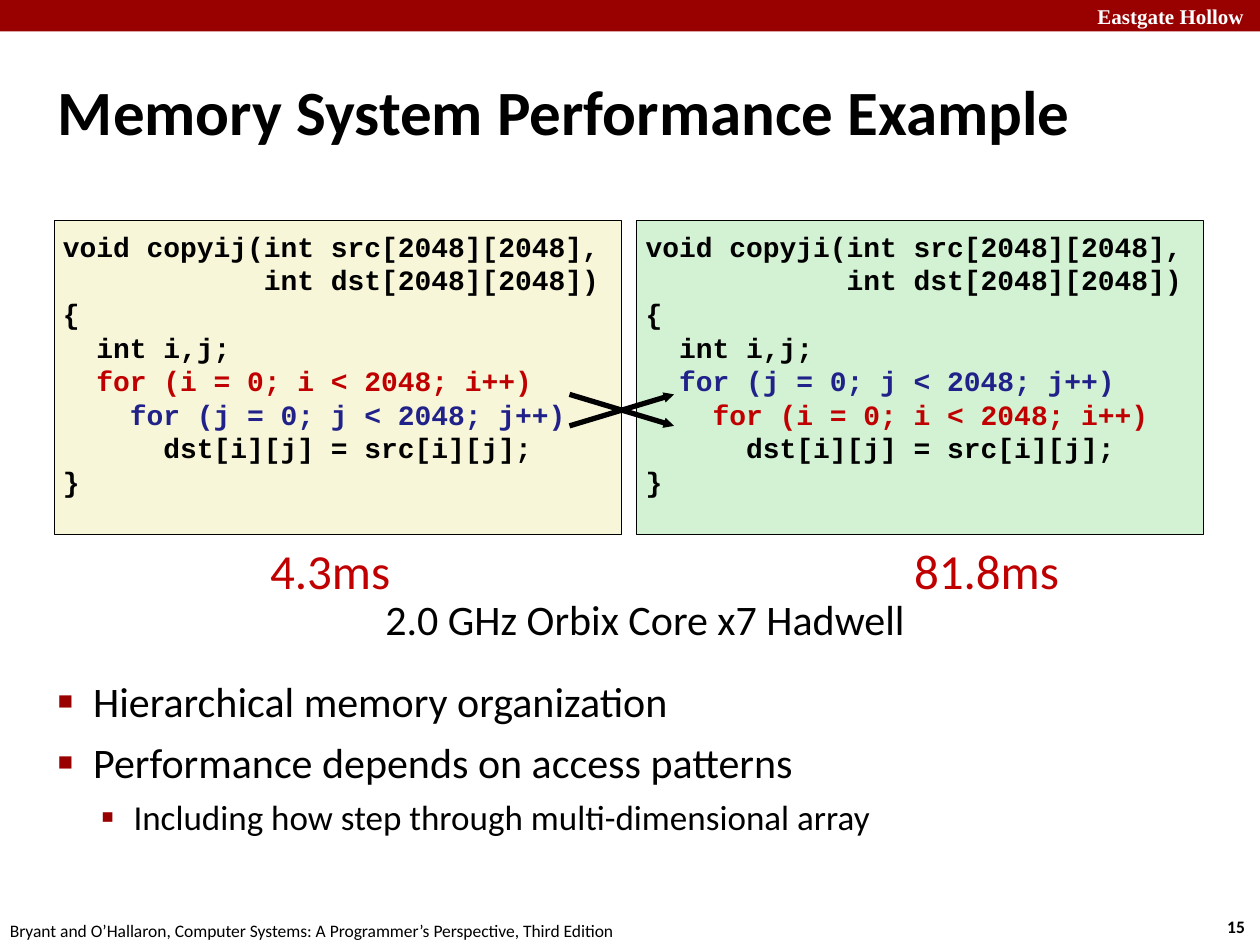
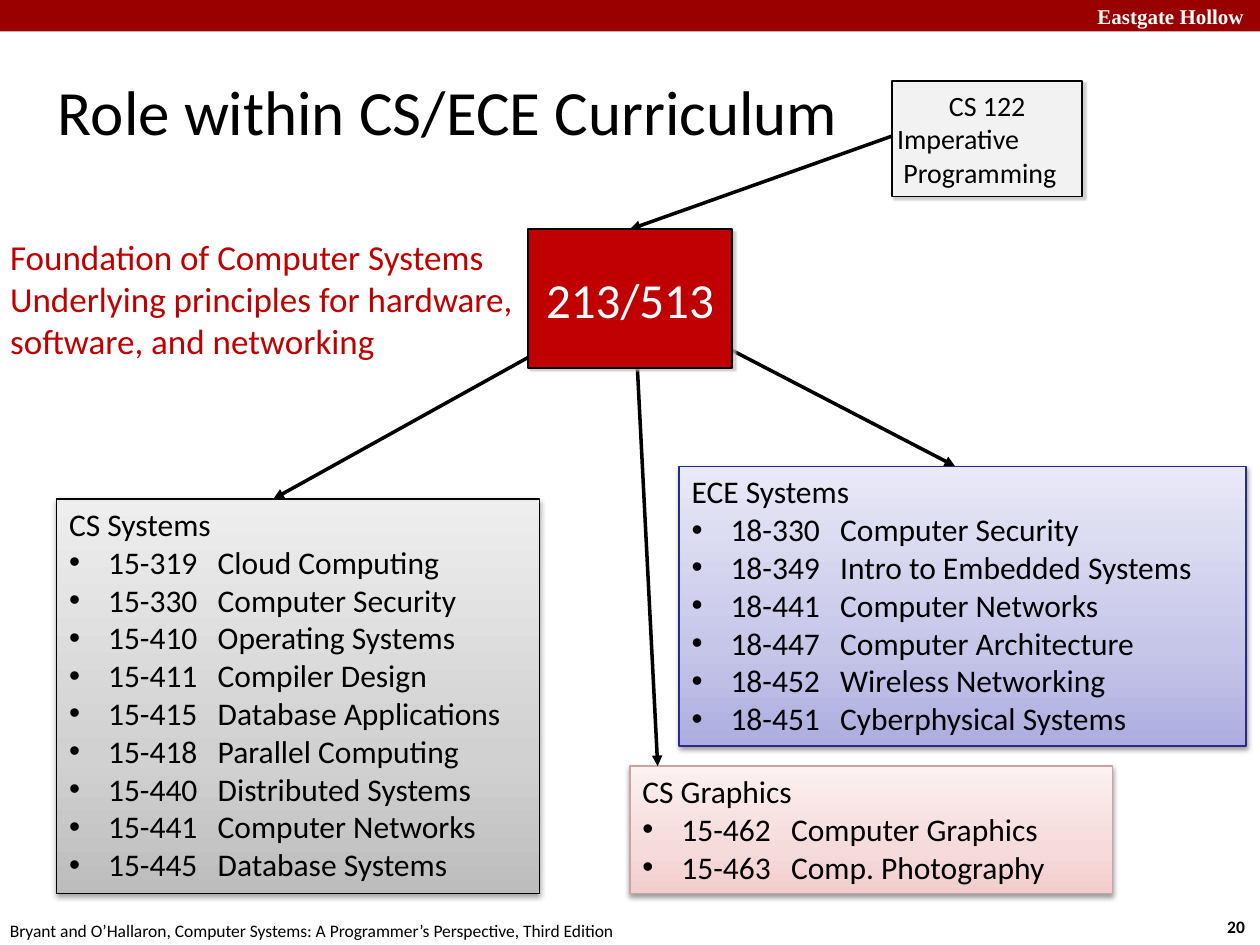
from lxml.etree import SubElement as Sub
from pptx import Presentation
from pptx.dml.color import RGBColor as RGB
from pptx.enum.shapes import MSO_CONNECTOR as Link, MSO_SHAPE as Form
from pptx.enum.text import MSO_ANCHOR as Anchor, PP_ALIGN as Align
from pptx.oxml.ns import qn
from pptx.util import Inches, Pt


class Theme:
    black, white = "000000", "FFFFFF"
    band, red, blue = "990000", "C00000", "21218A"
    cream, mint, pale = "F8F6D9", "D3F2D3", "F2F2F2"
    gray = ("BDBDBD", "D1D1D1", "EEEEEE")
    lilac = ("ADADE1", "C6C6E9", "E9E9F7")
    rose = ("F3CDCD", "F6DBDB", "FCF0F0")
    navy, clay = "2A2A89", "C6A5A5"
    sans, mono, serif = "Calibri", "Courier New", "Times New Roman"
    tiny, small, code, list, note, lead, big, title = 10, 12, 16, 18, 20, 24, 28, 36
    hard = ("C0C0C0", 75, 1, 2, 45)
    soft = ("000000", 38, 3.1, 1.6, 90)


T = Theme
WIDE, HIGH = Inches(10), Inches(7.5)
COLS, ROWS = 100, 75
SLIM = (0.04, 0.04)

BRAND = "Eastgate Hollow"
SOURCE = "Bryant and O’Hallaron, Computer Systems: A Programmer’s Perspective, Third Edition"

SPEED = {
    "num": "15",
    "title": "Memory System Performance Example",
    "code": [("ij", T.cream), ("ji", T.mint)],
    "times": [("4.3ms", 26.2), ("81.8ms", 78.3)],
    "chip": ("2.0 GHz Orbix Core x7 Hadwell", 51.2),
    "points": [
        ("Hierarchical memory organization", 0),
        ("Performance depends on access patterns", 0),
        ("Including how step through multi-dimensional array", 1),
    ],
}
LEVELS = [
    {"size": T.lead, "left": 0.28, "hang": 0.28, "before": 6, "bullet": ("■", 60, T.band)},
    {"size": T.note, "left": 0.6, "hang": 0.26, "before": 5, "bullet": ("▪", 110, T.band)},
]

ROLE = {
    "num": "20",
    "title": "Role within CS/ECE Curriculum",
    "prior": [("CS 122", Align.CENTER), ("Imperative", Align.LEFT), (" Programming", Align.LEFT)],
    "claim": "Foundation of Computer Systems\vUnderlying principles for hardware, \vsoftware, and networking",
    "hub": "213/513",
}
GROUPS = [
    ("CS Systems", (4.5, 39.6, 38.3, 31.3), T.gray, T.black, [
        ("15-319", "Cloud Computing"),
        ("15-330", "Computer Security"),
        ("15-410", "Operating Systems"),
        ("15-411", "Compiler Design"),
        ("15-415", "Database Applications"),
        ("15-418", "Parallel Computing"),
        ("15-440", "Distributed Systems"),
        ("15-441", "Computer Networks"),
        ("15-445", "Database Systems"),
    ]),
    ("ECE Systems", (53.9, 37, 45, 22.2), T.lilac, T.navy, [
        ("18-330", "Computer Security"),
        ("18-349", "Intro to Embedded Systems"),
        ("18-441", "Computer Networks"),
        ("18-447", "Computer Architecture"),
        ("18-452", "Wireless Networking"),
        ("18-451", "Cyberphysical Systems"),
    ]),
    ("CS Graphics", (50, 60.8, 38.3, 10.1), T.rose, T.clay, [
        ("15-462", "Computer Graphics"),
        ("15-463", "Comp. Photography"),
    ]),
]
PATHS = [
    ((70.8, 10.8), (50, 18.2)),
    ((50.5, 23.6), (21.7, 39.6)),
    ((50.3, 23.6), (52.2, 60.8)),
    ((50, 23.6), (75.8, 37)),
]


def put(item, vals):
    for key, val in vals.items():
        setattr(item, key, val)


def tag(root, name, **vals):
    return Sub(root, qn("a:" + name), {key: str(val) for key, val in vals.items()})


def grid(*spots):
    units = (WIDE / COLS, HIGH / ROWS)
    return [round(spot * units[n % 2]) for n, spot in enumerate(spots)]


def tint(root, color, alpha=None):
    node = tag(root, "srgbClr", val=color)
    if alpha:
        tag(node, "alpha", val=alpha * 1000)


def write(para, text, size=T.list, color=T.black, font=T.sans, bold=False,
          align=Align.LEFT, before=0, left=0, hang=0, bullet=None, tab=None):
    para.text = text
    put(para, {"alignment": align, "space_before": Pt(before)})
    for run in para.runs:
        put(run.font, {"size": Pt(size), "name": font, "bold": bold})
        run.font.color.rgb = RGB.from_string(color)
    props = para._p.get_or_add_pPr()
    if left:
        props.set("marL", str(Inches(left)))
        props.set("indent", str(-Inches(hang)))
    if bullet:
        sign, share, shade = bullet
        tint(tag(props, "buClr"), shade)
        tag(props, "buSzPct", val=share * 1000)
        tag(props, "buFont", typeface="Arial")
        tag(props, "buChar", char=sign)
    if tab:
        tag(tag(props, "tabLst"), "tab", pos=Inches(tab), algn="l")


def fill_text(shape, lines, pad=(0.1, 0.05), anchor=Anchor.TOP, **style):
    frame = shape.text_frame
    side, edge = map(Inches, pad)
    put(frame, {"margin_left": side, "margin_right": side, "margin_top": edge,
                "margin_bottom": edge, "vertical_anchor": anchor, "word_wrap": True})
    for n, (text, extra) in enumerate(lines):
        para = frame.add_paragraph() if n else frame.paragraphs[0]
        write(para, text, **{**style, **extra})


def label(slide, spot, text, **style):
    fill_text(slide.shapes.add_textbox(*grid(*spot)), [(text, {})], **style)


def center(slide, mid, top, wide, high, text, **style):
    label(slide, (mid - wide / 2, top, wide, high), text, pad=SLIM,
          align=Align.CENTER, **style)


def shade(shape, stops):
    shape.fill.gradient()
    node = shape._element.spPr.find(qn("a:gradFill"))
    for kid in list(node):
        node.remove(kid)
    ramp = tag(node, "gsLst")
    for place, color in zip((0, 35, 100), stops):
        tint(tag(ramp, "gs", pos=place * 1000), color)
    tag(node, "lin", ang=270 * 60000, scaled=0)


def cast(shape, color, alpha, blur, dist, angle):
    root = shape._element.spPr.find(qn("a:effectLst"))
    drop = tag(root, "outerShdw", blurRad=Pt(blur), dist=Pt(dist),
               dir=angle * 60000, algn="ctr", rotWithShape=0)
    tint(drop, color, alpha)


def box(slide, spot, fill, line=None, width=1, shadow=None):
    shape = slide.shapes.add_shape(Form.RECTANGLE, *grid(*spot))
    shape.shadow.inherit = False
    if isinstance(fill, tuple):
        shade(shape, fill)
    else:
        shape.fill.solid()
        shape.fill.fore_color.rgb = RGB.from_string(fill)
    if line:
        shape.line.color.rgb = RGB.from_string(line)
        shape.line.width = Pt(width)
    else:
        shape.line.fill.background()
    if shadow:
        cast(shape, *shadow)
    return shape


def arrow(slide, start, end, width, head="med"):
    link = slide.shapes.add_connector(Link.STRAIGHT, *grid(*start, *end))
    link.line.color.rgb = RGB.from_string(T.black)
    link.line.width = Pt(width)
    tag(link.line._get_or_add_ln(), "tailEnd", type="triangle", w=head, len=head)
    tag(link._element.spPr, "effectLst")


def start(deck, data, bold):
    slide = deck.slides.add_slide(deck.slide_layouts[6])
    center(slide, 98.1, 72.3, 3.7, 2.7, data["num"], size=T.tiny, bold=True)
    label(slide, (-0.2, 72.5, 55, 2.7), SOURCE, size=T.tiny)
    box(slide, (0, 0, COLS, 2.5), T.band)
    label(slide, (80, -0.2, 19.7, 3), BRAND, size=T.small, color=T.white,
          font=T.serif, bold=True, align=Align.RIGHT)
    label(slide, (4.2, 2.8, 91.7, 11.9), data["title"], size=T.title, bold=bold,
          pad=SLIM, anchor=Anchor.MIDDLE)
    return slide


def loops(order):
    hues = {"i": T.red, "j": T.blue}
    lines = [
        (f"void copy{order}(int src[2048][2048],", {}),
        ("            int dst[2048][2048])", {}),
        ("{", {}),
        ("  int i,j;", {}),
    ]
    for depth, key in enumerate(order, 1):
        text = f"for ({key} = 0; {key} < 2048; {key}++)"
        lines.append(("  " * depth + text, {"color": hues[key]}))
    return lines + [("      dst[i][j] = src[i][j];", {}), ("}", {})]


def draw_speed(deck):
    slide = start(deck, SPEED, True)
    body = slide.shapes.add_textbox(*grid(4.2, 53.2, 91.7, 16.8))
    fill_text(body, [(text, LEVELS[deep]) for text, deep in SPEED["points"]], pad=SLIM)
    for n, (order, fill) in enumerate(SPEED["code"]):
        panel = box(slide, (4.3 + 46.25 * n, 17.5, 45, 24.9), fill, T.black, 0.5)
        fill_text(panel, loops(order), pad=(0.07, 0.07), size=T.code, font=T.mono, bold=True)
    rows = (31.3, 33.8)
    for top, end in zip(rows, rows[::-1]):
        arrow(slide, (45.2, top), (53.5, end), 3, "sm")
    for text, mid in SPEED["times"]:
        center(slide, mid, 42.5, 18, 5.6, text, size=T.big, color=T.red)
    chip, mid = SPEED["chip"]
    center(slide, mid, 46.7, 56, 4.9, chip, size=T.lead)


def draw_role(deck):
    slide = start(deck, ROLE, False)
    prior = box(slide, (70.8, 6.4, 15.1, 9.2), T.pale, T.black, 1, T.hard)
    fill_text(prior, [(text, {"align": side}) for text, side in ROLE["prior"]],
              pad=SLIM, anchor=Anchor.MIDDLE, size=T.code)
    label(slide, (0.4, 18.3, 42.6, 10.8), ROLE["claim"], size=T.note, color=T.red,
          pad=SLIM, before=4.8)
    for head, spot, fill, line, items in GROUPS:
        panel = box(slide, spot, fill, line, 0.75, T.soft)
        rows = [(f"{num}\t{name}", {"bullet": ("•", 100, T.black)}) for num, name in items]
        fill_text(panel, [(head, {})] + rows, left=0.31, hang=0.31, tab=1.18)
    for tail, tip in PATHS:
        arrow(slide, tail, tip, 2)
    hub = box(slide, (41.9, 18.2, 16.2, 11), T.red, T.black, 1, T.hard)
    fill_text(hub, [(ROLE["hub"], {})], pad=(0, 0), anchor=Anchor.MIDDLE,
              size=T.big, color=T.white, align=Align.CENTER)


def main():
    deck = Presentation()
    put(deck, {"slide_width": WIDE, "slide_height": HIGH})
    draw_speed(deck)
    draw_role(deck)
    deck.save("out.pptx")


if __name__ == "__main__":
    main()
